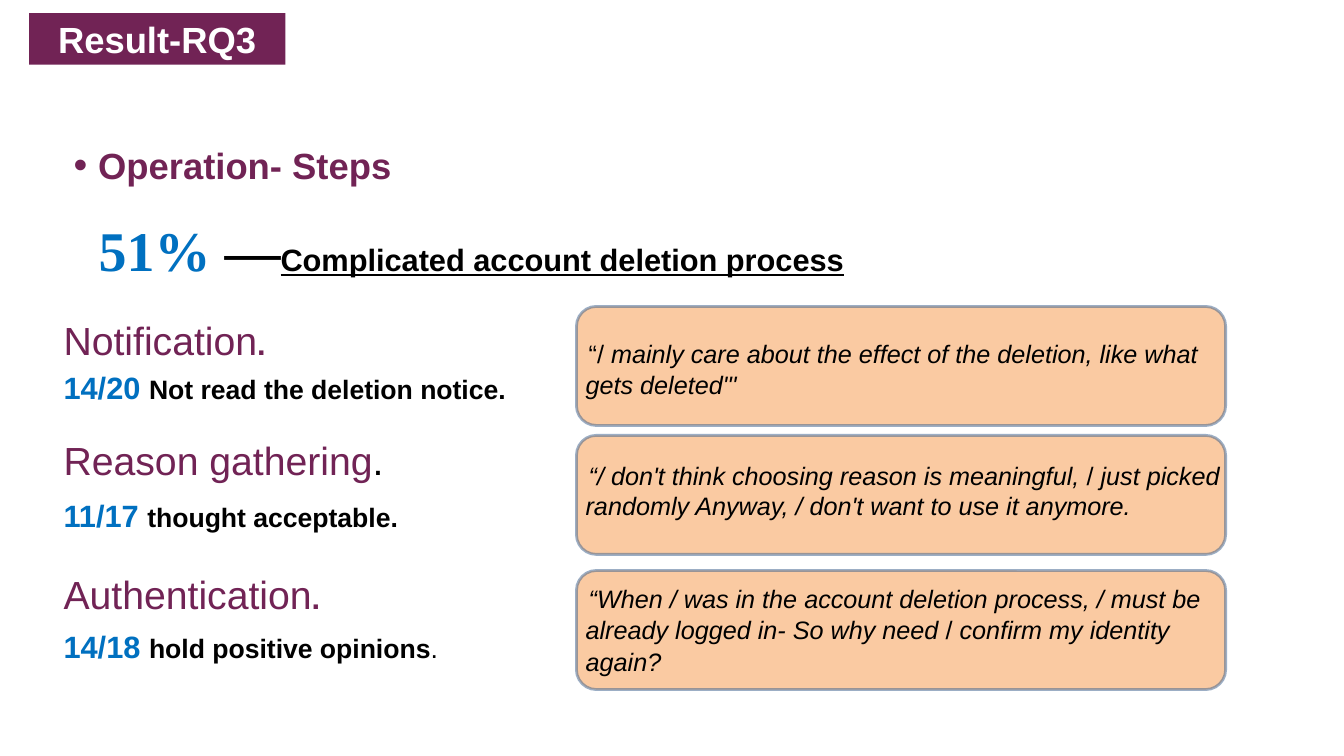
"""Build the Result-RQ3 slide on account deletion steps."""
from lxml.etree import SubElement
from pptx import Presentation
from pptx.dml.color import RGBColor
from pptx.enum.shapes import MSO_SHAPE as Shape
from pptx.enum.text import MSO_ANCHOR as Anchor, PP_ALIGN as Align
from pptx.oxml.ns import qn
from pptx.util import Pt

PLUM = RGBColor(0x71, 0x23, 0x55)
BLUE = RGBColor(0x00, 0x70, 0xC0)
BLACK = RGBColor(0, 0, 0)
WHITE = RGBColor(0xFF, 0xFF, 0xFF)
ORANGE = RGBColor(0xF7, 0x96, 0x46)
NAVY = RGBColor(0x3A, 0x5F, 0x8C)

TITLE = {"size": Pt(26), "color": WHITE, "bold": True}
HEADING = {"size": Pt(26), "color": PLUM, "bold": True}
PERCENT = {"size": Pt(40), "color": BLUE, "bold": True, "name": "Times New Roman"}
DASH = {**PERCENT, "color": BLACK}
CLAIM = {"size": Pt(22), "color": BLACK, "bold": True, "underline": True}
TOPIC = {"size": Pt(28), "color": PLUM}
STOP = {"size": Pt(22), "color": PLUM, "bold": True}
COUNT = {"size": Pt(22), "color": BLUE, "bold": True}
FINDING = {"size": Pt(19), "color": BLACK, "bold": True}
UPRIGHT = {"size": Pt(18), "color": BLACK}
QUOTE = {**UPRIGHT, "italic": True}

FINDINGS = [
    ([("Notification", TOPIC), (".", STOP)], 3.5),
    ([("14/20 ", COUNT), ("Not read the deletion notice.", FINDING)], 22.4),
    ([("Reason gathering", TOPIC), (".", {**TOPIC, "color": BLACK})], 9.1),
    ([("11/17 ", COUNT), ("thought acceptable.", FINDING)], 25.9),
    ([("Authentication", TOPIC), (".", STOP)], 7.7),
    ([("14/18 ", COUNT), ("hold positive opinions", FINDING),
      (".", {**FINDING, "bold": False})], 0),
]
QUOTES = [
    (218.9, 1, [
        ("“/ ", UPRIGHT),
        ("mainly care about the effect of the deletion, like what gets deleted\"'", QUOTE)]),
    (311, 1, [
        ("“/ don't think choosing reason is meaningful, ", QUOTE), ("/ ", UPRIGHT),
        ("just picked randomly Anyway, / don't want to use it anymore.", QUOTE)]),
    (407.5, 1.05, [
        ("“When / was in the account deletion process, / must be already logged in- "
         "So why need ", QUOTE), ("/ ", UPRIGHT), ("confirm my identity again?", QUOTE)]),
]
QUOTE_TOP, QUOTE_STEP = 242, 86.7


def set_frame(box, anchor=Anchor.TOP):
    frame = box.text_frame
    values = {"margin_left": 0, "margin_top": 0, "margin_right": 0, "margin_bottom": 0,
              "word_wrap": True, "vertical_anchor": anchor}
    for name, value in values.items():
        setattr(frame, name, value)
    return frame


def add_box(left, top, width, height):
    return set_frame(page.shapes.add_textbox(Pt(left), Pt(top), Pt(width), Pt(height)))


def write(para, spans, after=0, spacing=1, indent=0):
    para.space_after = Pt(after)
    para.line_spacing = float(spacing)
    if indent:
        para._p.get_or_add_pPr().set("indent", str(Pt(indent)))
    for text, style in spans:
        span = para.add_run()
        span.text = text
        for name, value in {"name": "Arial", **style}.items():
            if name == "color":
                span.font.color.rgb = value
            else:
                setattr(span.font, name, value)


def paint(fill, color):
    fill.solid()
    fill.fore_color.rgb = color
    tint = fill._xPr.find(".//" + qn("a:srgbClr"))
    SubElement(tint, qn("a:alpha"), val="50000")


deck = Presentation()
deck.slide_width, deck.slide_height = Pt(960), Pt(540)
page = deck.slides.add_slide(deck.slide_layouts[5])

title = page.shapes.title
for name, value in {"left": 20.9, "top": 9.4, "width": 182.9, "height": 36.7}.items():
    setattr(title, name, Pt(value))
title.fill.solid()
title.fill.fore_color.rgb = PLUM
heading = set_frame(title, Anchor.MIDDLE).paragraphs[0]
heading.alignment = Align.CENTER
write(heading, [("Result-RQ3", TITLE)])

steps = add_box(52.6, 102, 250, 30).paragraphs[0]
write(steps, [("Operation- Steps", HEADING)], indent=-17.5)
bullet = steps._p.get_or_add_pPr()
bullet.set("marL", str(Pt(17.5)))
SubElement(bullet, qn("a:buSzPct"), val="108000")
SubElement(bullet, qn("a:buFont"), typeface="Arial")
SubElement(bullet, qn("a:buChar"), char="•")

claim = add_box(61.9, 154, 580, 46).paragraphs[0]
write(claim, [("51% ", PERCENT), ("—", DASH),
              ("Complicated account deletion process", CLAIM)], indent=8.6)

findings = add_box(45.4, 226.1, 346.3, 265.7)
for index, (spans, after) in enumerate(FINDINGS):
    para = findings.add_paragraph() if index else findings.paragraphs[0]
    write(para, spans, after)

for index, (top, spacing, spans) in enumerate(QUOTES):
    card = page.shapes.add_shape(Shape.ROUNDED_RECTANGLE, Pt(411.8), Pt(top), Pt(463.7), Pt(85))
    card.shadow.inherit = False
    paint(card.fill, ORANGE)
    paint(card.line.fill, NAVY)
    card.line.width = Pt(2)
    quote = add_box(418.3, QUOTE_TOP + index * QUOTE_STEP, 460.1, 50)
    write(quote.paragraphs[0], spans, spacing=spacing, indent=2.2)

deck.save("out.pptx")
